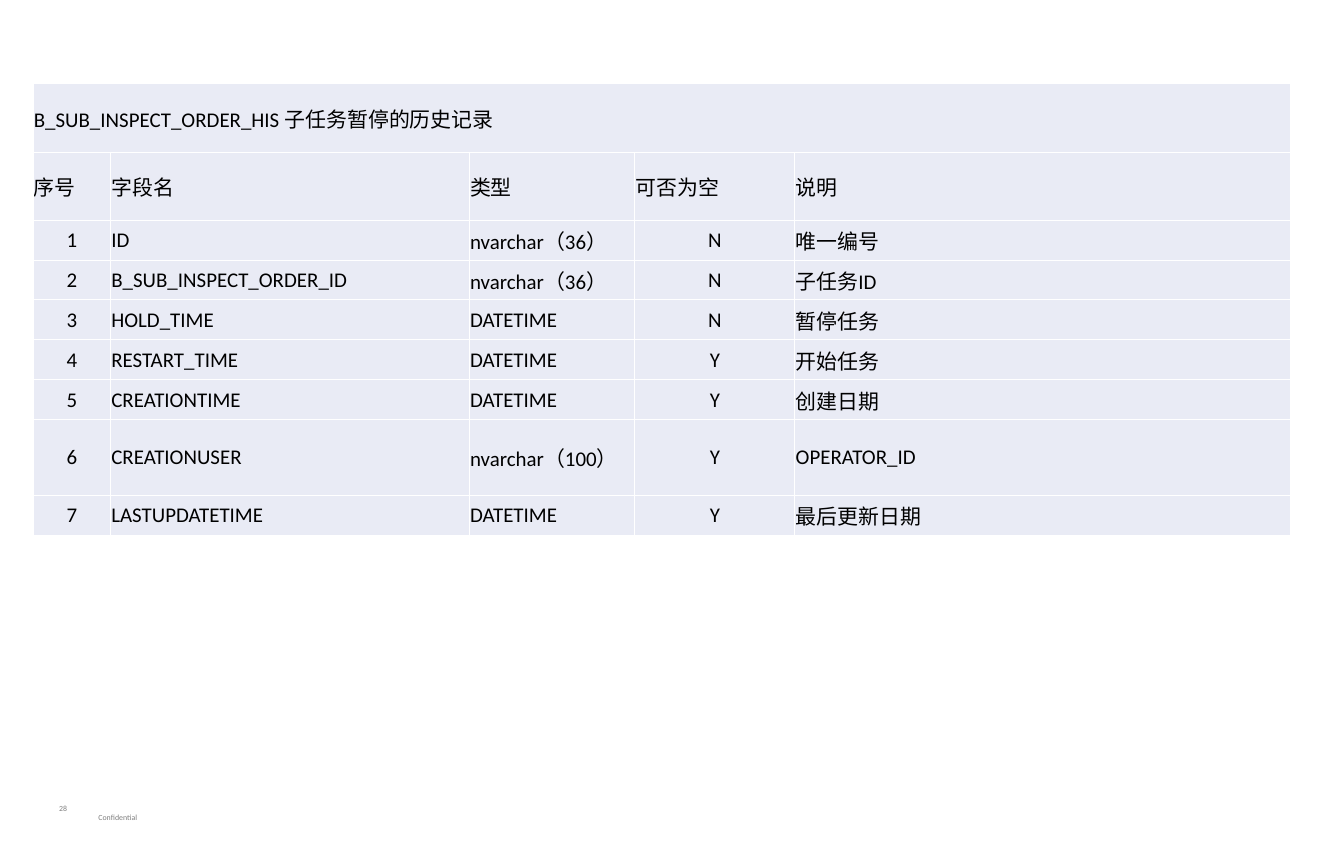
from lxml import etree
from pptx import Presentation
from pptx.dml.color import RGBColor
from pptx.enum import text as t
from pptx.oxml import ns
from pptx.util import Inches, Pt

COLORS = {"ink": "000000", "footer": "7F7F7F", "cell": "E9EBF5", "border": "FFFFFF"}
CENTER, LEFT = t.PP_ALIGN.CENTER, t.PP_ALIGN.LEFT


def write(paragraph, words, size, color, align):
    paragraph.text = words
    paragraph.alignment = align
    for name, value in {"name": "Calibri", "size": Pt(size), "bold": False}.items():
        setattr(paragraph.font, name, value)
    paragraph.font.color.rgb = RGBColor.from_string(COLORS[color])


def add_borders(cell):
    properties = cell._tc.get_or_add_tcPr()
    for side in ("lnL", "lnR", "lnT", "lnB"):
        line = etree.SubElement(properties, ns.qn(f"a:{side}"), w=str(Pt(1)))
        fill = etree.SubElement(line, ns.qn("a:solidFill"))
        etree.SubElement(fill, ns.qn("a:srgbClr"), val=COLORS["border"])


prs = Presentation()
prs.slide_width, prs.slide_height = Inches(17.87), Inches(11.44)
slide = prs.slides.add_slide(prs.slide_layouts[6])

# Footer
footers = [
    ("Confidential", (1.21, 10.76, 11.03, 0.23), t.MSO_ANCHOR.BOTTOM, LEFT),
    ("28", (0.43, 10.64, 0.82, 0.23), t.MSO_ANCHOR.TOP, CENTER),
]
for words, place, anchor, align in footers:
    frame = slide.shapes.add_textbox(*map(Inches, place)).text_frame
    frame_format = {
        "word_wrap": True,
        "vertical_anchor": anchor,
        "auto_size": t.MSO_AUTO_SIZE.SHAPE_TO_FIT_TEXT,
    }
    for name, value in frame_format.items():
        setattr(frame, name, value)
    write(frame.paragraphs[0], words, 7.5, "footer", align)

# Field definitions
title = "B_SUB_INSPECT_ORDER_HIS 子任务暂停的历史记录"
headings = ["序号", "字段名", "类型", "可否为空", "说明"]
fields = [
    ("ID", "nvarchar（36）", "N", "唯一编号"),
    ("B_SUB_INSPECT_ORDER_ID", "nvarchar（36）", "N", "子任务ID"),
    ("HOLD_TIME", "DATETIME", "N", "暂停任务"),
    ("RESTART_TIME", "DATETIME", "Y", "开始任务"),
    ("CREATIONTIME", "DATETIME", "Y", "创建日期"),
    ("CREATIONUSER", "nvarchar（100）", "Y", "OPERATOR_ID"),
    ("LASTUPDATETIME", "DATETIME", "Y", "最后更新日期"),
]
rows = [[title, "", "", "", ""], headings]
rows += [[str(number), *field] for number, field in enumerate(fields, 1)]
widths = [1.03, 4.77, 2.2, 2.13, 6.59]
heights = [0.92, 0.9] + [0.53] * 5 + [1.01, 0.53]

# Table grid
table = slide.shapes.add_table(
    len(rows), len(widths), Inches(0.44), Inches(1.11),
    Inches(sum(widths)), Inches(sum(heights)),
).table
table.first_row = table.horz_banding = False
for column, width in zip(table.columns, widths):
    column.width = Inches(width)
for row, height in zip(table.rows, heights):
    row.height = Inches(height)
table.cell(0, 0).merge(table.cell(0, len(widths) - 1))

# Table cells
cell_format = {
    "margin_left": Inches(0.01),
    "margin_top": Inches(0.01),
    "margin_right": Inches(0.01),
    "margin_bottom": 0,
    "vertical_anchor": t.MSO_ANCHOR.MIDDLE,
}
for r, values in enumerate(rows):
    for c, words in enumerate(values):
        cell = table.cell(r, c)
        for name, value in cell_format.items():
            setattr(cell, name, value)
        add_borders(cell)
        cell.fill.solid()
        cell.fill.fore_color.rgb = RGBColor.from_string(COLORS["cell"])
        align = CENTER if r > 1 and c in (0, 3) else LEFT
        write(cell.text_frame.paragraphs[0], words, 20, "ink", align)

prs.save("out.pptx")
